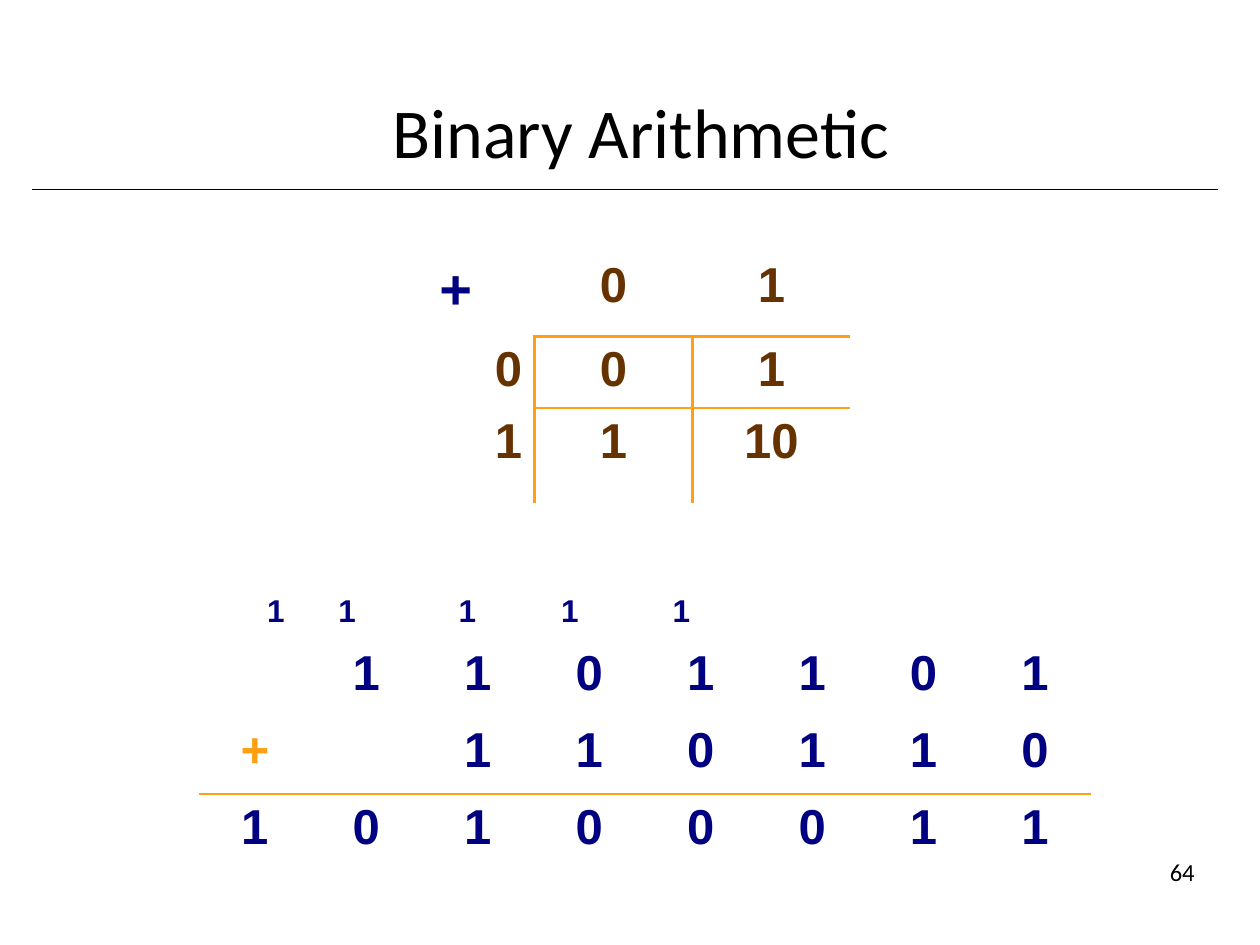
from lxml.etree import SubElement
from pptx import Presentation
from pptx.dml.color import RGBColor
from pptx.enum.shapes import MSO_CONNECTOR
from pptx.enum.text import MSO_ANCHOR, PP_ALIGN
from pptx.oxml.ns import qn
from pptx.util import Inches, Pt

BLACK = RGBColor(0x00, 0x00, 0x00)
NAVY = RGBColor(0x00, 0x00, 0x80)
BROWN = RGBColor(0x66, 0x33, 0x00)
ORANGE = RGBColor(0xFF, 0x9F, 0x11)
NO_GRID_STYLE = "{2D5ABB26-0587-4C30-8999-92F81FD0307C}"

SUMS = ["+01", "001", ("1", "1", "10")]
ADDITION = ["11111   ", " 1101101", "+ 110110", "10100011"]
CARRY_TABS = [0.44, 0.12, 0.19, 0.12, 0.12]


def write(paragraph, text, size, color, align, font="Arial", bold=True):
    paragraph.text = text
    paragraph.alignment = align
    for run in paragraph.runs:
        run.font.name = font
        run.font.size = Pt(size)
        run.font.bold = bold
        run.font.color.rgb = color


def add_tab_stop(paragraph, position):
    stops = SubElement(paragraph._p.get_or_add_pPr(), qn("a:tabLst"))
    SubElement(stops, qn("a:tab"), pos=str(Inches(position)), algn="l")


def add_borders(cell, sides, width):
    properties = cell._tc.get_or_add_tcPr()
    for side in sides:
        border = SubElement(properties, qn(f"a:ln{side}"), w=str(Pt(width)))
        solid = SubElement(border, qn("a:solidFill"))
        SubElement(solid, qn("a:srgbClr"), val=str(ORANGE))


def add_grid(slide, left, top, column_width, row_heights, columns):
    frame = slide.shapes.add_table(
        len(row_heights), columns, Inches(left), Inches(top),
        Inches(column_width * columns), Inches(sum(row_heights)))
    grid = frame.table
    grid.first_row = grid.horz_banding = False
    grid._tbl.tblPr.find(qn("a:tableStyleId")).text = NO_GRID_STYLE
    for column in grid.columns:
        column.width = Inches(column_width)
    for row, height in zip(grid.rows, row_heights):
        row.height = Inches(height)
    return grid


def add_addition(slide):
    grid = add_grid(slide, 1.58, 4.38, 0.885, [0.7, 0.61, 0.61, 0.61], 8)
    rule_sides = {2: "B", 3: "T"}
    for r, digits in enumerate(ADDITION):
        for c, digit in enumerate(digits):
            cell = grid.cell(r, c)
            add_borders(cell, rule_sides.get(r, ""), 1.08)
            cell.fill.background()
            if digit == " ":
                continue
            paragraph = cell.text_frame.paragraphs[0]
            if r == 0:
                paragraph.line_spacing = 2.0
                add_tab_stop(paragraph, CARRY_TABS[c])
                write(paragraph, "\t" + digit, 18, NAVY, PP_ALIGN.LEFT)
            else:
                color = ORANGE if digit == "+" else NAVY
                write(paragraph, digit, 28, color, PP_ALIGN.CENTER)


def add_sum_table(slide):
    grid = add_grid(slide, 2.99, 2, 1.253, [0.67, 0.57, 0.75], 3)
    rule_sides = {(0, 1): "B", (0, 2): "B", (1, 0): "R", (1, 1): "LT",
                  (1, 2): "T", (2, 0): "R", (2, 1): "L"}
    for r, entries in enumerate(SUMS):
        for c, entry in enumerate(entries):
            cell = grid.cell(r, c)
            add_borders(cell, rule_sides.get((r, c), ""), 1.47)
            cell.fill.background()
            size, color = (32, NAVY) if entry == "+" else (28, BROWN)
            align = PP_ALIGN.RIGHT if r and c == 0 else PP_ALIGN.CENTER
            write(cell.text_frame.paragraphs[0], entry, size, color, align)


def add_title(slide, text):
    title = slide.shapes.title
    title.left, title.top = Inches(0.75), Inches(0.17)
    title.width, title.height = Inches(8.67), Inches(1.25)
    title.text_frame.vertical_anchor = MSO_ANCHOR.BOTTOM
    write(title.text_frame.paragraphs[0], text, 40, BLACK,
          PP_ALIGN.CENTER, "Calibri", False)


def add_title_rule(slide):
    rule = slide.shapes.add_connector(
        MSO_CONNECTOR.STRAIGHT, Inches(0.25), Inches(1.5), Inches(9.67), Inches(1.5))
    rule.line.color.rgb = BLACK
    rule.line.width = Pt(0.5)
    SubElement(rule._element.spPr, qn("a:effectLst"))


def add_page_number(slide, number):
    box = slide.shapes.add_textbox(Inches(7.5), Inches(6.75), Inches(2.08), Inches(0.5))
    box.text_frame.word_wrap = True
    write(box.text_frame.paragraphs[0], number, 14, BLACK,
          PP_ALIGN.RIGHT, "Calibri", False)


def main():
    deck = Presentation()
    deck.slide_width, deck.slide_height = Inches(10), Inches(7.5)
    slide = deck.slides.add_slide(deck.slide_layouts[5])
    add_title_rule(slide)
    add_title(slide, "Binary Arithmetic")
    add_addition(slide)
    add_sum_table(slide)
    add_page_number(slide, "64")
    deck.save("out.pptx")


if __name__ == "__main__":
    main()
